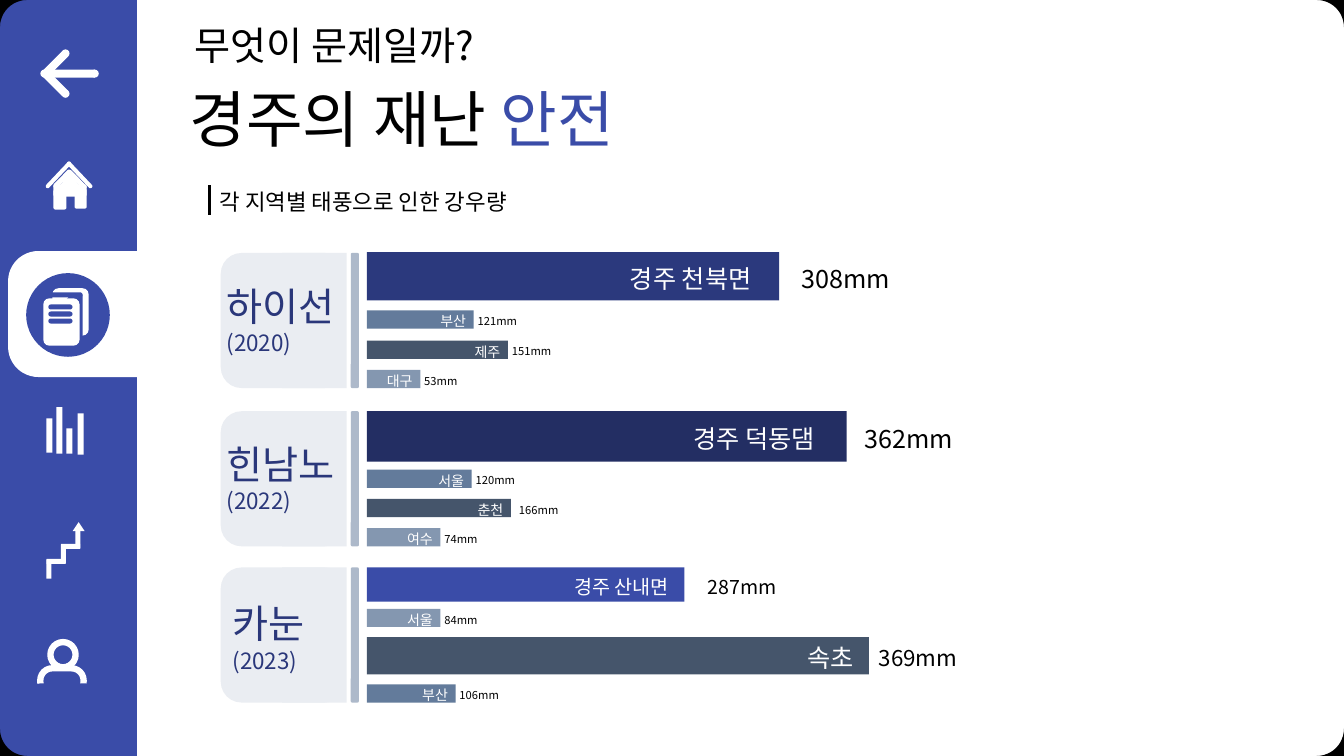
from math import cos, pi, sin
from typing import NamedTuple

from lxml import etree
from pptx import Presentation
from pptx.dml.color import RGBColor
from pptx.enum.shapes import MSO_CONNECTOR, MSO_SHAPE
from pptx.enum.text import MSO_ANCHOR, MSO_AUTO_SIZE, PP_ALIGN
from pptx.oxml.ns import qn
from pptx.util import Inches, Pt

RECT, ROUND = MSO_SHAPE.RECTANGLE, MSO_SHAPE.ROUNDED_RECTANGLE
OVAL, TRIANGLE = MSO_SHAPE.OVAL, MSO_SHAPE.ISOSCELES_TRIANGLE
STRAIGHT = MSO_CONNECTOR.STRAIGHT
TOP, LEFT = MSO_ANCHOR.TOP, PP_ALIGN.LEFT
GROW = MSO_AUTO_SIZE.SHAPE_TO_FIT_TEXT

FONT = "Noto Sans CJK KR"
BLUE, WHITE, BLACK = "3A4CA8", "FFFFFF", "000000"
NAVY, STEEL, SLATE, MIST = "2A377A", "637B9B", "45556B", "8497B0"
PANEL, STRIP = "EAEDF2", "ADB9CA"
COLUMNS, ROWS = 133.33, 75
CELL = Inches(0.1)


def color(hex_code):
    return RGBColor.from_string(hex_code)


def cells(*counts):
    return [round(count * CELL) for count in counts]


class Deck:
    """Draws on one slide; every length is in grid columns and rows."""

    def __init__(self):
        self.file = Presentation()
        self.file.slide_width, self.file.slide_height = cells(COLUMNS, ROWS)
        self.slide = self.file.slides.add_slide(self.file.slide_layouts[5])
        self.shapes = self.slide.shapes

    def shape(self, kind, col, row, wide, high, fill=None, turn=0, adj=None,
              line=None, shapes=None):
        part = (shapes or self.shapes).add_shape(kind, *cells(col, row, wide, high))
        part.shadow.inherit = False
        part.rotation = turn
        if adj is not None:
            part.adjustments[0] = adj
        if fill:
            part.fill.solid()
            part.fill.fore_color.rgb = color(fill)
        else:
            part.fill.background()
        if line:
            part.line.color.rgb = color(line)
            part.line.width = Pt(4.5)
        else:
            part.line.fill.background()

    def icon(self, col, row, parts):
        group = self.shapes.add_group_shape()
        self.shape(OVAL, col, row, 8.3, 8.3, BLUE, shapes=group.shapes)
        for kind, x, y, wide, high, style in parts:
            self.shape(kind, col + x, row + y, wide, high, shapes=group.shapes,
                       **{"fill": WHITE, **style})

    def style(self, paragraph, size, ink):
        paragraph.alignment = LEFT
        paragraph.font.size, paragraph.font.name = Pt(size), FONT
        paragraph.font.color.rgb = color(ink)
        defaults = paragraph._p.pPr.find(qn("a:defRPr"))
        etree.SubElement(defaults, qn("a:ea"), typeface=FONT)

    def text(self, col, row, wide, *lines, ink=BLACK):
        high = sum(size * 0.16 for _, size in lines) + 1.1
        frame = self.shapes.add_textbox(*cells(col, row, wide, high)).text_frame
        frame.word_wrap, frame.auto_size = True, GROW
        for number, (words, size) in enumerate(lines):
            paragraph = frame.add_paragraph() if number else frame.paragraphs[0]
            paragraph.text = words
            self.style(paragraph, size, ink)

    def title(self, col, row, wide, high, words, accent):
        holder = self.shapes.title
        holder.left, holder.top, holder.width, holder.height = cells(col, row, wide, high)
        frame = holder.text_frame
        frame.vertical_anchor, frame.word_wrap, frame.auto_size = TOP, True, GROW
        paragraph = frame.paragraphs[0]
        paragraph.add_run().text = words
        strong = paragraph.add_run()
        strong.text = accent
        strong.font.color.rgb = color(BLUE)
        self.style(paragraph, 44, BLACK)

    def rule(self, col, row, end_col, end_row):
        line = self.shapes.add_connector(STRAIGHT, *cells(col, row, end_col, end_row))
        line.line.color.rgb = color(BLACK)
        line.line.width = Pt(2.25)
        etree.SubElement(line._element.spPr, qn("a:effectLst"))

    def corners(self, radius, steps=12):
        arc = [(radius * (1 - sin(i * pi / 2 / steps)), radius * (1 - cos(i * pi / 2 / steps)))
               for i in range(steps + 1)]
        builder = self.shapes.build_freeform(0, 0)
        for col, row, right, down in ((0, 0, 1, 1), (COLUMNS, 0, -1, 1),
                                      (COLUMNS, ROWS, -1, -1), (0, ROWS, 1, -1)):
            builder.move_to(*cells(col, row))
            builder.add_line_segments(
                [cells(col + right * x, row + down * y) for x, y in arc], close=True)
        mask = builder.convert_to_shape()
        mask.shadow.inherit = False
        mask.fill.solid()
        mask.fill.fore_color.rgb = color(BLACK)
        mask.line.fill.background()


class Bar(NamedTuple):
    place: str
    rain: str
    fill: str
    row: float
    length: float
    high: float = 1.8
    place_size: int = 10
    rain_size: int = 8
    inset: float = 4.3
    gap: float = -0.6


# Icons: kind, column and row from the badge corner, size, style
PILL, BLUE_PILL = {"adj": 0.5}, {"adj": 0.5, "fill": BLUE}
BACK = [(OVAL, x, y, 0.8, 0.8, {}) for x, y in ((3.4, 1.7), (6.3, 3.7), (3.4, 5.7), (1.3, 3.7))] + [
    (RECT, 3.8, 1.6, 0.8, 5, {"turn": 90}),
    (RECT, 2.4, 1.7, 0.8, 2.8, {"turn": 45}),
    (RECT, 2.4, 3.7, 0.8, 2.8, {"turn": -45})]
HOME = [
    (ROUND, 2.6, 4.3, 1.3, 2, {}), (ROUND, 4.7, 4.2, 1.2, 2, {}),
    (ROUND, 2.6, 3.8, 3.3, 1.2, {}), (TRIANGLE, 3.2, 2.6, 2, 1.4, {}),
    (ROUND, 2.9, 1.1, 0.4, 3.5, {"turn": 43.4, **PILL}),
    (ROUND, 5, 1.1, 0.4, 3.5, {"turn": -43.4, **PILL}),
    (ROUND, 2.3, 3, 2.4, 0.5, {"turn": -45.8, **PILL}),
    (ROUND, 3.7, 3.1, 2.5, 0.5, {"turn": 45.8, **PILL})]
PAGES = [
    (ROUND, 2.6, 1.5, 3.6, 4.7, {}), (ROUND, 2.1, 1.9, 3.5, 0.5, BLUE_PILL),
    (ROUND, 2.6, 4.5, 5.5, 0.5, {"turn": 270, **BLUE_PILL}),
    (ROUND, 3.9, 2.3, 1.5, 1.2, BLUE_PILL), (ROUND, 1.7, 2.5, 3.6, 4.7, {})] + [
    (ROUND, 2.2, 3.1 + 0.7 * i, 2.4, 0.5, BLUE_PILL) for i in range(3)]
COLUMN_CHART = [(RECT, x, y, 0.6, high, {}) for x, y, high in (
    (2.4, 2.8, 3.4), (3.4, 1.7, 4.6), (4.4, 3.8, 2.5), (5.5, 2.3, 4.1))]
STAIRS = [(RECT, 2.7 + 0.72 * i, 5.2 - 0.75 * i, 0.5, 1.9, {"turn": 90 * (i % 2)})
          for i in range(5)] + [(TRIANGLE, 5.3, 1.5, 1.2, 0.9, {})]
PERSON = [
    (ROUND, 1.9, 4.5, 4.3, 2.5, {"fill": None, "adj": 0.48, "line": WHITE}),
    (OVAL, 2.9, 1.9, 2.5, 2.5, {"fill": BLUE, "line": WHITE}),
    (ROUND, 1.5, 6.3, 5.3, 0.9, {"line": BLUE, **BLUE_PILL})]
ICONS = [(2.7, 3.2, BACK), (2.7, 14.5, HOME), (2.6, 27.1, PAGES),
         (2.2, 38.7, COLUMN_CHART), (1.9, 50.3, STAIRS), (2.1, 61.8, PERSON)]

# Typhoons: name, year, panel row, column and row of the name, bars
BAR_COL = 36.4
TYPHOONS = [
    ("하이선", "(2020)", 25.1, 21.5, 27.5, [
        Bar("경주 천북면", "308mm", "2B397D", 25, 40.9, 4.8, 18, 18, 15.8, 1.2),
        Bar("부산", "121mm", STEEL, 30.8, 10.6),
        Bar("제주", "151mm", SLATE, 33.8, 14),
        Bar("대구", "53mm", MIST, 36.7, 5.3)]),
    ("힌남노", "(2022)", 40.8, 21.5, 43.2, [
        Bar("경주 덕동댐", "362mm", "232E63", 40.8, 47.6, 5, 18, 18, 16.2, 0.8),
        Bar("서울", "120mm", STEEL, 46.6, 10.4),
        Bar("춘천", "166mm", SLATE, 49.5, 14.3, gap=-0.2),
        Bar("여수", "74mm", MIST, 52.4, 7.3)]),
    ("카눈", "(2023)", 56.3, 22.1, 59, [
        Bar("경주 산내면", "287mm", BLUE, 56.3, 31.5, 3.4, 14, 14, 11.9, 1.3),
        Bar("서울", "84mm", MIST, 60.4, 7.3),
        Bar("속초", "369mm", SLATE, 63.2, 49.8, 3.7, 18, 16, 7.1, 0),
        Bar("부산", "106mm", STEEL, 67.9, 8.8)])]


def main():
    deck = Deck()

    # Sidebar with the current page's tab
    deck.shape(ROUND, 0, 0, 13.4, 75.1, BLUE, adj=0.175)
    deck.shape(RECT, 7.6, 0, 6, ROWS, BLUE)
    deck.shape(ROUND, 0.8, 24.9, 16.5, 12.5, WHITE, adj=0.24)
    for icon in ICONS:
        deck.icon(*icon)
    deck.corners(2.7)

    # Headings
    deck.text(18.3, 1.6, 67.6, ("무엇이 문제일까?", 28))
    deck.title(17.8, 7.5, 76.4, 8.4, "경주의 재난 ", "안전")
    deck.text(20.8, 18.2, 33.4, ("각 지역별 태풍으로 인한 강우량", 16))
    deck.rule(20.8, 18.4, 20.8, 21.3)

    # Rainfall of each typhoon
    for name, year, row, name_col, name_row, bars in TYPHOONS:
        deck.shape(ROUND, 21.9, row, 12.4, 13.4, PANEL)
        deck.shape(RECT, 28, row, 6.4, 13.4, PANEL)
        deck.shape(ROUND, 34.8, row, 0.8, 13.4, STRIP)
        deck.text(name_col, name_row, 16, (name, 28), (year, 16), ink=NAVY)
        for bar in bars:
            deck.shape(RECT, BAR_COL, bar.row, bar.length, bar.high, bar.fill)
            end = BAR_COL + bar.length
            for words, size, col, ink in ((bar.place, bar.place_size, end - bar.inset, WHITE),
                                          (bar.rain, bar.rain_size, end + bar.gap, BLACK)):
                text_row = bar.row + bar.high / 2 - size * 0.08 - 0.35
                deck.text(col, text_row, max(8.2, size * 0.9), (words, size), ink=ink)

    deck.file.save("out.pptx")


if __name__ == "__main__":
    main()
